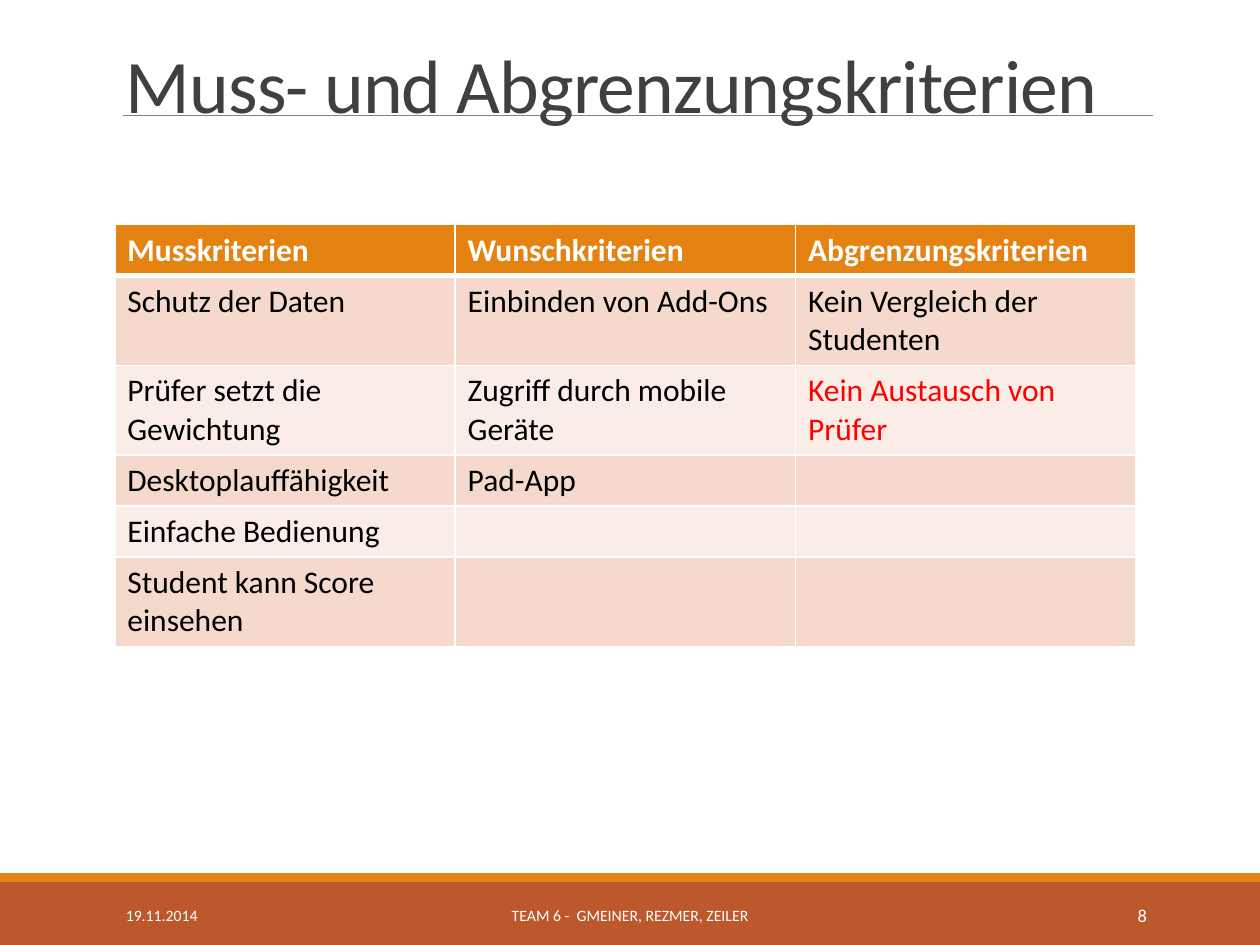
import pptx
import pptx.util
import pptx.dml.color
import pptx.enum.shapes
import pptx.enum.text
import pptx.oxml
import pptx.oxml.ns

Pt = pptx.util.Pt
ALIGN = pptx.enum.text.PP_ALIGN
ANCHOR = pptx.enum.text.MSO_ANCHOR

HUES = {
    "rust": "BD582C", "amber": "E48312", "rule": "808080", "title": "404040",
    "white": "FFFFFF", "black": "000000", "red": "FF0000",
    "dark": "F5D9CC", "light": "FAEDE7",
}
ROWS = [
    ["Musskriterien", "Wunschkriterien", "Abgrenzungskriterien"],
    ["Schutz der Daten", "Einbinden von Add-Ons", "Kein Vergleich der Studenten"],
    ["Prüfer setzt die Gewichtung", "Zugriff durch mobile Geräte",
     "Kein Austausch von Prüfer"],
    ["Desktoplauffähigkeit", "Pad-App", ""],
    ["Einfache Bedienung", "", ""],
    ["Student kann Score einsehen", "", ""],
]
HEIGHTS = [29.2, 51.2, 51.2, 29.2, 29.2, 51.2]
RED_CELL = (2, 2)


def tint(name):
    return pptx.dml.color.RGBColor.from_string(HUES[name])


def apply(item, form):
    for key, value in form.items():
        setattr(item, key, value)


class Deck:
    """Holds the text style and the current slide."""

    font = "Calibri"

    def __init__(self, width, height):
        self.file = pptx.Presentation()
        apply(self.file, {"slide_width": Pt(width), "slide_height": Pt(height)})
        self.slide = self.file.slides.add_slide(self.file.slide_layouts[6])

    def bar(self, top, height, hue):
        shape = self.slide.shapes.add_shape(
            pptx.enum.shapes.MSO_SHAPE.RECTANGLE,
            0, Pt(top), self.file.slide_width, Pt(height))
        shape.shadow.inherit = False
        shape.fill.solid()
        shape.fill.fore_color.rgb = tint(hue)
        shape.line.fill.background()

    def rule(self, left, right, top):
        line = self.slide.shapes.add_connector(
            pptx.enum.shapes.MSO_CONNECTOR.STRAIGHT,
            Pt(left), Pt(top), Pt(right), Pt(top))
        line.line.width = Pt(0.5)
        line.line.color.rgb = tint("rule")
        props = line._element.spPr
        props.append(props.makeelement(pptx.oxml.ns.qn("a:effectLst"), {}))

    def text(self, frame, words, size, hue, bold=False, **form):
        """Put one styled run in a frame; form holds paragraph settings."""
        para = frame.paragraphs[0]
        apply(para, form)
        run = para.add_run()
        run.text = words
        apply(run.font, {"name": self.font, "size": Pt(size), "bold": bold})
        run.font.color.rgb = tint(hue)
        return run

    def label(self, box, words, size, hue="white", anchor=ANCHOR.MIDDLE, **form):
        frame = self.slide.shapes.add_textbox(*map(Pt, box)).text_frame
        apply(frame, {"word_wrap": True, "vertical_anchor": anchor})
        return self.text(frame, words, size, hue, **form)

    def edge(self, cell, sides):
        """Draw white cell borders, given as side letter and width in points."""
        props = cell._tc.get_or_add_tcPr()
        for spot, (side, width) in enumerate(sides.items()):
            props.insert(spot, pptx.oxml.parse_xml(
                f'<a:ln{side} {pptx.oxml.ns.nsdecls("a")} w="{Pt(width)}">'
                f'<a:solidFill><a:srgbClr val="{HUES["white"]}"/></a:solidFill>'
                f'</a:ln{side}>'))

    def table(self, left, top, width, rows, heights):
        cols = len(rows[0])
        grid = self.slide.shapes.add_table(
            len(rows), cols, Pt(left), Pt(top),
            Pt(width * cols), Pt(sum(heights))).table
        for col in grid.columns:
            col.width = Pt(width)
        for r, line in enumerate(rows):
            grid.rows[r].height = Pt(heights[r])
            head = r == 0
            fill = "amber" if head else "dark" if r % 2 else "light"
            sides = {"L": 1, "R": 1, "T": 3 if r == 1 else 1, "B": 3 if head else 1}
            for c, words in enumerate(line):
                cell = grid.cell(r, c)
                cell.fill.solid()
                cell.fill.fore_color.rgb = tint(fill)
                self.edge(cell, sides)
                if words:
                    hue = ("white" if head else
                           "red" if (r, c) == RED_CELL else "black")
                    self.text(cell.text_frame, words, 18, hue, bold=head)


def main():
    deck = Deck(720, 540)
    deck.bar(504, 36, "rust")
    deck.bar(499, 5, "amber")
    deck.rule(70.4, 658.8, 66)
    title = deck.label((64.8, 22.3, 594, 54.7), "Muss- und Abgrenzungskriterien",
                       43.2, "title", ANCHOR.BOTTOM, line_spacing=0.85)
    title.font._element.set("spc", "-50")
    deck.table(65.6, 128.4, 194.5, ROWS, HEIGHTS)
    deck.label((64.8, 508.5, 146, 29), "19.11.2014", 9)
    deck.label((217.5, 508.5, 285, 29), "TEAM 6 -  GMEINER, REZMER, ZEILER", 9,
               alignment=ALIGN.CENTER)
    deck.label((584.6, 508.5, 77.8, 29), "8", 10.5, alignment=ALIGN.RIGHT)
    deck.file.save("out.pptx")


if __name__ == "__main__":
    main()
